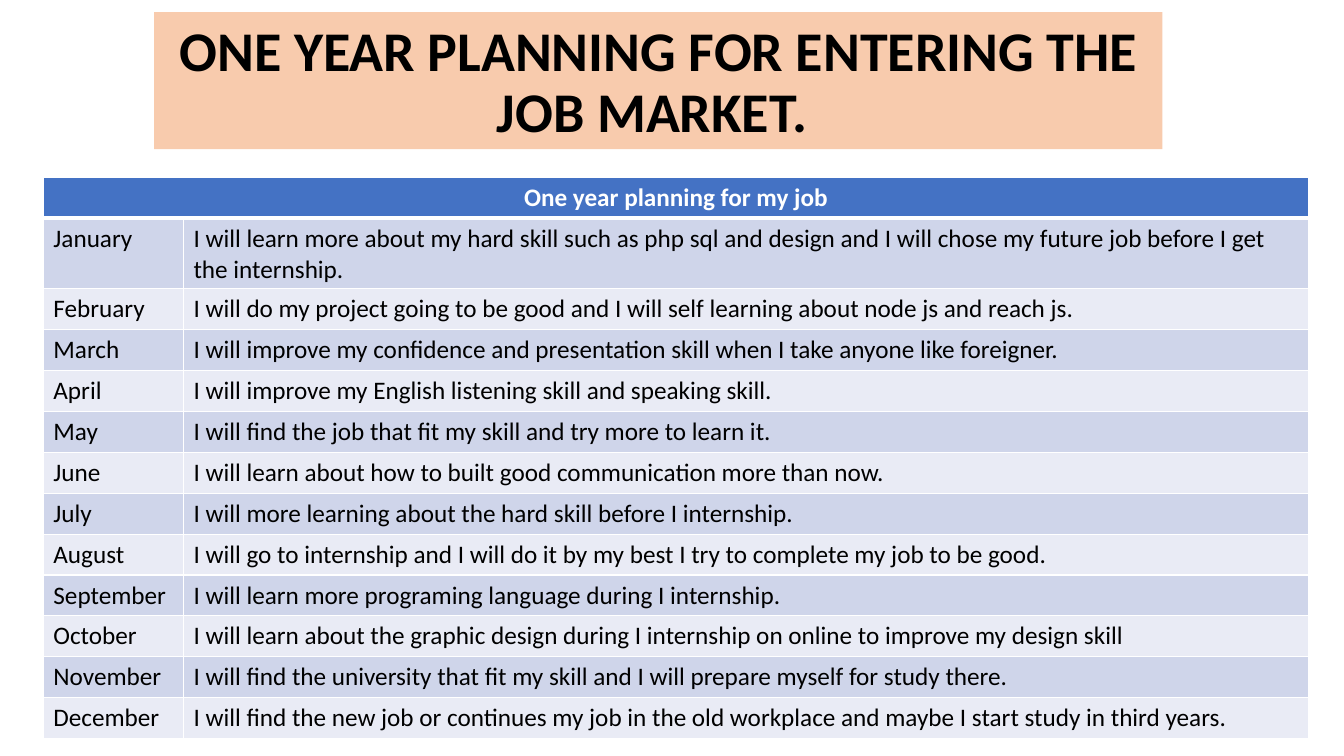
from lxml import etree
from pptx import Presentation
from pptx.dml.color import RGBColor
from pptx.enum.text import MSO_ANCHOR, PP_ALIGN
from pptx.oxml.ns import qn
from pptx.util import Inches, Pt

CENTER, LEFT = PP_ALIGN.CENTER, PP_ALIGN.LEFT
TOP, BOTTOM = MSO_ANCHOR.TOP, MSO_ANCHOR.BOTTOM
FONT = "Calibri"
COLORS = {
    "title": "F8CBAD",
    "header": "4472C4",
    "odd": "CFD5EA",
    "even": "E9EBF5",
    "black": "000000",
    "white": "FFFFFF",
}
PLAN = {
    "January": "I will learn more about my hard skill such as php sql and design and I will chose my future job before I get the internship.",
    "February": "I will do my project going to be good and I will self learning about node js and reach js.",
    "March": "I will improve my confidence and presentation skill when I take anyone like foreigner.",
    "April": "I will improve my English listening skill and speaking skill.",
    "May": "I will find the job that fit my skill and try more to learn it.",
    "June": "I will learn about how to built good communication more than now.",
    "July": "I will more learning about the hard skill before I internship.",
    "August": "I will go to internship and I will do it by my best I try to complete my job to be good.",
    "September": "I will learn more programing language during I internship.",
    "October": "I will learn about the graphic design during I internship on online to improve my design skill",
    "November": "I will find the university that fit my skill and I will prepare myself for study there.",
    "December": "I will find the new job or continues my job in the old workplace and maybe I start study in third years.",
}
TABLE_HEIGHT, TWO_LINE_ROW = 5.57, 0.7
MONTH_WIDTH, TASK_WIDTH = 1.39, 11.16


def write(text_frame, text, size, color, bold, alignment):
    paragraph = text_frame.paragraphs[0]
    paragraph.text = text
    paragraph.alignment = alignment
    paragraph.font.name = FONT
    paragraph.font.size = Pt(size)
    paragraph.font.bold = bold
    paragraph.font.color.rgb = RGBColor.from_string(COLORS[color])
    return paragraph


def style_cell(cell, fill, anchor, top_width, bottom_width):
    widths = {"a:lnL": 1, "a:lnR": 1, "a:lnT": top_width, "a:lnB": bottom_width}
    properties = cell._tc.get_or_add_tcPr()
    for side, width in widths.items():
        line = etree.SubElement(properties, qn(side), w=str(Pt(width)))
        solid = etree.SubElement(line, qn("a:solidFill"))
        etree.SubElement(solid, qn("a:srgbClr"), val=COLORS["white"])
    cell.fill.solid()
    cell.fill.fore_color.rgb = RGBColor.from_string(COLORS[fill])
    cell.vertical_anchor = anchor


presentation = Presentation()
presentation.slide_width = Inches(13.33)
presentation.slide_height = Inches(7.5)
slide = presentation.slides.add_slide(presentation.slide_layouts[6])

title = slide.shapes.add_textbox(Inches(1.53), Inches(0.12), Inches(10), Inches(1.36))
title.fill.solid()
title.fill.fore_color.rgb = RGBColor.from_string(COLORS["title"])
title.text_frame.word_wrap = True
title.text_frame.vertical_anchor = BOTTOM
heading = write(title.text_frame, "ONE YEAR PLANNING FOR ENTERING THE JOB MARKET. ", 40, "black", True, CENTER)
heading.line_spacing = 0.9

table = slide.shapes.add_table(
    len(PLAN) + 1, 2, Inches(0.43), Inches(1.76),
    Inches(MONTH_WIDTH + TASK_WIDTH), Inches(TABLE_HEIGHT),
).table
table.columns[0].width = Inches(MONTH_WIDTH)
table.columns[1].width = Inches(TASK_WIDTH)
for row in table.rows:
    row.height = Inches((TABLE_HEIGHT - TWO_LINE_ROW) / len(PLAN))
table.rows[1].height = Inches(TWO_LINE_ROW)

header = table.cell(0, 0)
header.merge(table.cell(0, 1))
for cell in table.rows[0].cells:
    style_cell(cell, "header", BOTTOM, 1, 3)
write(header.text_frame, "One year planning for my job", 18, "white", True, CENTER)

for row_number, entry in enumerate(PLAN.items(), start=1):
    for column_number, text in enumerate(entry):
        cell = table.cell(row_number, column_number)
        style_cell(cell, "odd" if row_number % 2 else "even", TOP, 3 if row_number == 1 else 1, 1)
        write(cell.text_frame, text, 18, "black", False, LEFT)

presentation.save("out.pptx")
